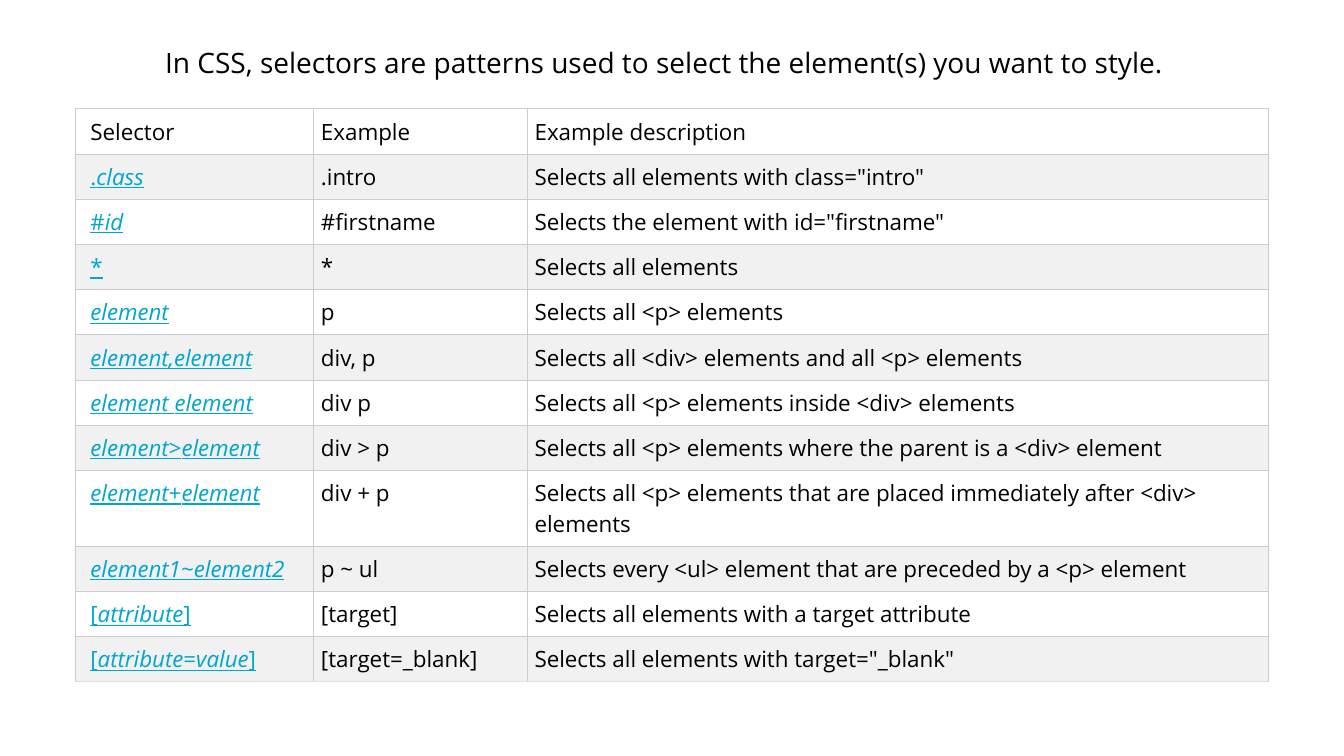
import pptx
import pptx.util
import pptx.dml.color
import pptx.enum.text
import pptx.oxml.ns
from lxml import etree

Pt = pptx.util.Pt

# Selector parts split by "|" alternate between upright and italic
ROWS = [
    ("Selector", "Example", "Example description"),
    (".|class", ".intro", 'Selects all elements with class="intro"'),
    ("#|id", "#firstname", 'Selects the element with id="firstname"'),
    ("*", "*", "Selects all elements"),
    ("|element", "p", "Selects all <p> elements"),
    ("|element,element", "div, p", "Selects all <div> elements and all <p> elements"),
    ("|element| |element", "div p", "Selects all <p> elements inside <div> elements"),
    ("|element|>|element", "div > p",
     "Selects all <p> elements where the parent is a <div> element"),
    ("|element|+|element", "div + p",
     "Selects all <p> elements that are placed immediately after <div> elements"),
    ("|element1|~|element2", "p ~ ul",
     "Selects every <ul> element that are preceded by a <p> element"),
    ("[|attribute|]", "[target]", "Selects all elements with a target attribute"),
    ("[|attribute|=|value|]", "[target=_blank]",
     'Selects all elements with target="_blank"'),
]
WIDTHS = (169.9, 152.6, 529.2)
TALL = 8  # the row whose description takes two lines


def color(code):
    return pptx.dml.color.RGBColor.from_string(code)


def assign(item, values):
    for name, value in values.items():
        setattr(item, name, value)


def write(para, text, size, code="000000", **marks):
    run = para.add_run()
    run.text = text
    assign(run.font, {"name": "Open Sans", "size": Pt(size), **marks})
    run.font.color.rgb = color(code)


def border(cell, side, code):
    props = cell._tc.get_or_add_tcPr()
    tag = pptx.oxml.ns.qn
    line = etree.SubElement(props, tag("a:ln" + side), w=str(Pt(0.6)))
    fill = etree.SubElement(line, tag("a:solidFill"))
    etree.SubElement(fill, tag("a:srgbClr"), val=code)


def heading(slide, left, top, width, height):
    frame = slide.shapes.add_textbox(Pt(left), Pt(top), Pt(width), Pt(height)).text_frame
    assign(frame, {
        "word_wrap": True, "vertical_anchor": pptx.enum.text.MSO_ANCHOR.TOP,
        "margin_left": 0, "margin_right": Pt(7.2),
        "margin_top": Pt(3.6), "margin_bottom": Pt(3.6),
    })
    para = frame.paragraphs[0]
    assign(para, {"line_spacing": 0.9, "space_before": Pt(10)})
    write(para, "In CSS, selectors are patterns used to select the element(s) "
                "you want to style.", 20)


def fill_cell(cell, text, row, col):
    assign(cell, {
        "margin_left": Pt(5.4 if col else 10.6), "margin_right": Pt(5.4),
        "margin_top": Pt(5.4), "margin_bottom": Pt(5.4),
    })
    # Borders come before the fill in the cell properties
    for side in "LRTB":
        last = side == "B" and row == len(ROWS) - 1
        border(cell, side, "DDDDDD" if last else "CCCCCC")
    cell.fill.solid()
    cell.fill.fore_color.rgb = color("F1F1F1" if row % 2 else "FFFFFF")
    # Selectors below the header look like links
    para = cell.text_frame.paragraphs[0]
    if row and not col:
        for place, part in enumerate(text.split("|")):
            if part:
                write(para, part, 16, "00A6CE", italic=place % 2 == 1, underline=True)
    else:
        write(para, text, 16)


def grid(slide, left, top, width, height):
    # All rows share one height, apart from the tall one
    extra = 21.9
    step = (height - extra) / len(ROWS)
    table = slide.shapes.add_table(
        len(ROWS), len(WIDTHS), Pt(left), Pt(top), Pt(width), Pt(height)).table
    assign(table, {"first_row": False, "horz_banding": False})
    for col, size in zip(table.columns, WIDTHS):
        col.width = Pt(size)
    for row, texts in enumerate(ROWS):
        table.rows[row].height = Pt(step + extra * (row == TALL))
        for col, text in enumerate(texts):
            fill_cell(table.cell(row, col), text, row, col)


def main():
    deck = pptx.Presentation()
    assign(deck, {"slide_width": Pt(960), "slide_height": Pt(540)})
    slide = deck.slides.add_slide(deck.slide_layouts[6])
    heading(slide, 118, 31.7, 724.3, 50.4)
    grid(slide, 54, 77.6, sum(WIDTHS), 409.5)
    deck.save("out.pptx")


if __name__ == "__main__":
    main()
